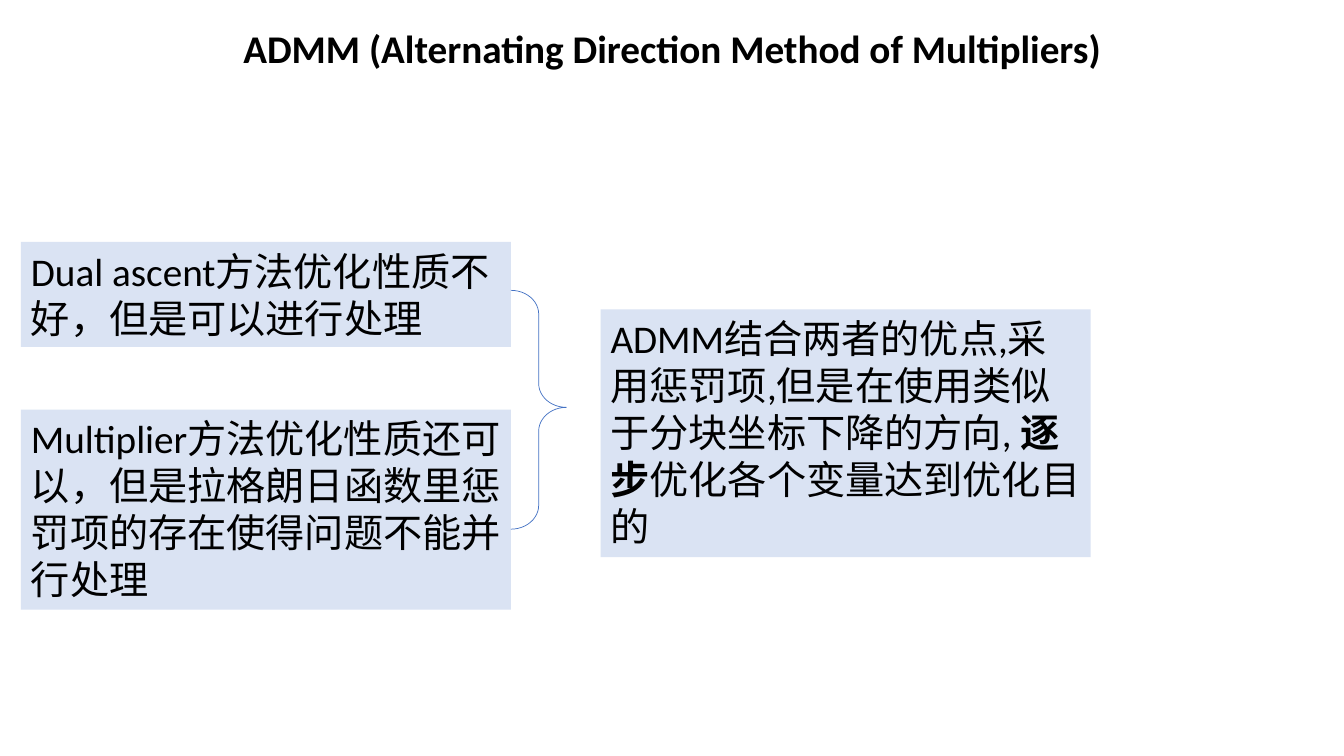
from dataclasses import dataclass

from pptx import Presentation
from pptx.dml.color import RGBColor
from pptx.enum.shapes import MSO_SHAPE as Preset
from pptx.enum.text import PP_ALIGN as Align
from pptx.slide import Slide
from pptx.util import Pt

COLORS = {"text": "000000", "panel": "DAE3F3", "brace": "4472C4"}
FONT_NAME = "Calibri"
FONT_SIZE = 28
PANEL_WIDTH = 350
LEFT_MARGIN = 15
CONCLUSION_LEFT = 429


@dataclass(frozen=True)
class Span:
    text: str
    bold: bool = False


@dataclass(frozen=True)
class TextBlock:
    left: float
    top: float
    width: float
    height: float
    spans: tuple[Span, ...]
    fill: str | None = None
    align: Align = Align.LEFT


TITLE = TextBlock(
    141, 13.7, 678, 41,
    (Span("ADMM (Alternating Direction Method of Multipliers)", bold=True),),
    align=Align.CENTER,
)
DUAL_ASCENT = TextBlock(
    LEFT_MARGIN, 172.8, PANEL_WIDTH, 75,
    (Span("Dual ascent方法优化性质不好，但是可以进行处理"),),
    fill="panel",
)
MULTIPLIER = TextBlock(
    LEFT_MARGIN, 292.5, PANEL_WIDTH, 143,
    (Span("Multiplier方法优化性质还可以，但是拉格朗日函数里惩罚项的存在使得问题不能并行处理"),),
    fill="panel",
)
CONCLUSION = TextBlock(
    CONCLUSION_LEFT, 221, PANEL_WIDTH, 177,
    (
        Span("ADMM结合两者的优点,采用惩罚项,但是在使用类似于分块坐标下降的方向, "),
        Span("逐步", bold=True),
        Span("优化各个变量达到优化目的"),
    ),
    fill="panel",
)


def color(name: str) -> RGBColor:
    return RGBColor.from_string(COLORS[name])


def add_text_block(page: Slide, block: TextBlock) -> None:
    box = page.shapes.add_textbox(
        Pt(block.left), Pt(block.top), Pt(block.width), Pt(block.height)
    )
    if block.fill:
        box.fill.solid()
        box.fill.fore_color.rgb = color(block.fill)
    box.text_frame.word_wrap = True
    para = box.text_frame.paragraphs[0]
    para.alignment = block.align
    for span in block.spans:
        run = para.add_run()
        run.text = span.text
        run.font.name = FONT_NAME
        run.font.size = Pt(FONT_SIZE)
        run.font.bold = span.bold
        run.font.color.rgb = color("text")


def add_joining_brace(page: Slide) -> None:
    """Join the two method panels and point at the conclusion."""
    brace = page.shapes.add_shape(
        Preset.RIGHT_BRACE,
        Pt(LEFT_MARGIN + PANEL_WIDTH), Pt(207.4), Pt(39.6), Pt(170.6),
    )
    brace.adjustments[0] = 0.43
    brace.adjustments[1] = 0.49
    brace.shadow.inherit = False
    brace.fill.background()
    brace.line.color.rgb = color("brace")
    brace.line.width = Pt(0.5)


def main() -> None:
    deck = Presentation()
    deck.slide_width, deck.slide_height = Pt(960), Pt(540)
    page = deck.slides.add_slide(deck.slide_layouts[6])
    for block in (TITLE, DUAL_ASCENT, MULTIPLIER, CONCLUSION):
        add_text_block(page, block)
    add_joining_brace(page)
    deck.save("out.pptx")


if __name__ == "__main__":
    main()
